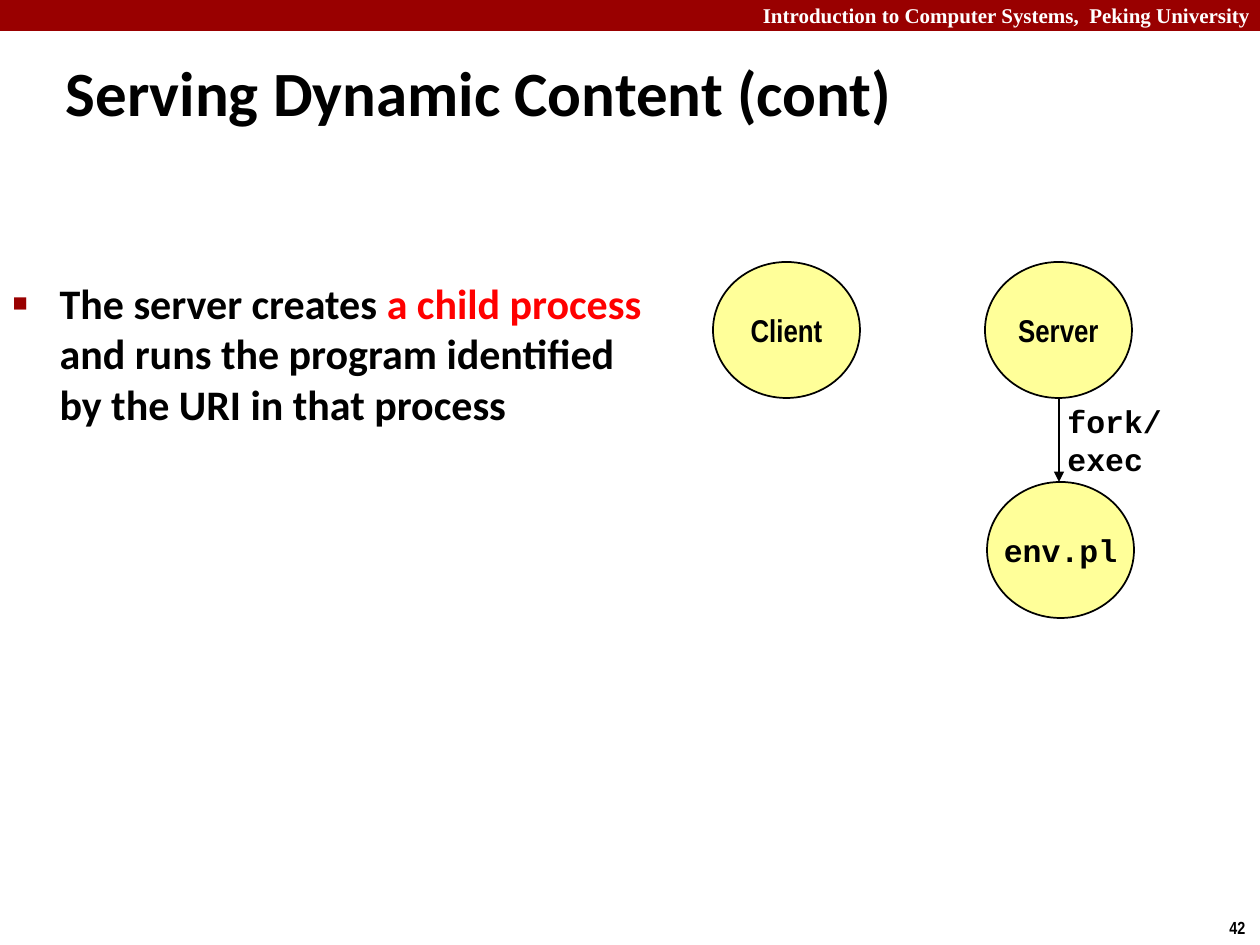
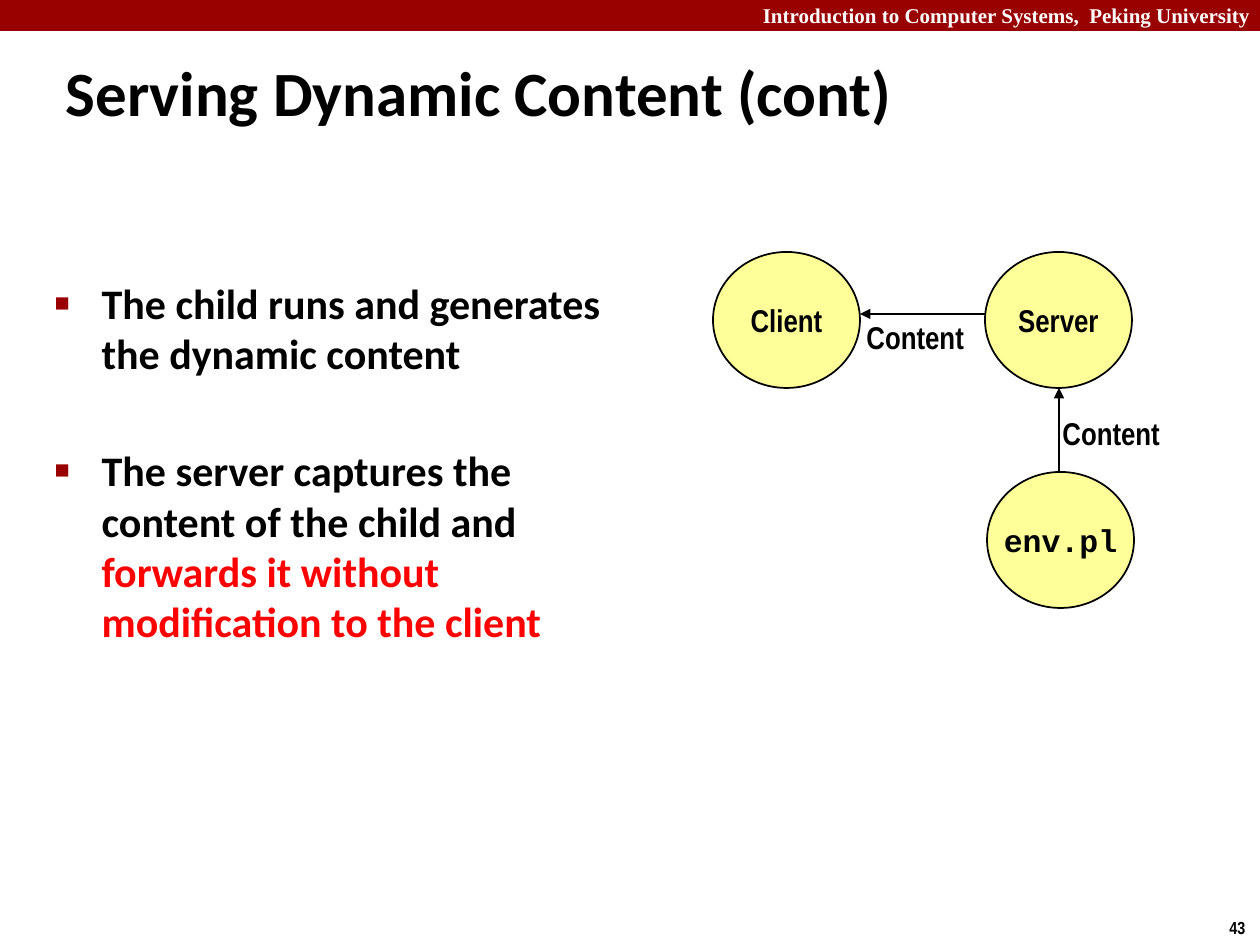
from lxml import etree
from pptx import Presentation
from pptx.dml.color import RGBColor
from pptx.enum.shapes import MSO_CONNECTOR, MSO_SHAPE
from pptx.enum.text import MSO_ANCHOR, MSO_AUTO_SIZE, PP_ALIGN
from pptx.oxml.ns import qn
from pptx.util import Emu, Pt

RECT, ELLIPSE = MSO_SHAPE.RECTANGLE, MSO_SHAPE.OVAL
STRAIGHT = MSO_CONNECTOR.STRAIGHT
LEFT, CENTER, RIGHT = PP_ALIGN.LEFT, PP_ALIGN.CENTER, PP_ALIGN.RIGHT
TOP, MIDDLE = MSO_ANCHOR.TOP, MSO_ANCHOR.MIDDLE
NO_AUTOFIT = MSO_AUTO_SIZE.NONE

COLORS = {"band": "990000", "node": "FFFF99", "ink": "000000",
          "accent": "FF0000", "white": "FFFFFF"}
HEADING, LABEL, CODE, BAND = "Calibri", "Arial Narrow", "Courier New", "Times New Roman"

PX_PER_INCH = 126
SLIDE_W, SLIDE_H = 1260, 945
NODE_W, NODE_H = 147, 136
CLIENT_X, SERVER_X, PROGRAM_X = 713, 985, 987
PROGRAM_DROP = 220
FORK_X = 1059
LIST_INDENT = 47


def px(n):
    return Emu(round(n * 914400 / PX_PER_INCH))


def rgb(name):
    return RGBColor.from_string(COLORS[name])


def format_run(r, font, size, color="ink"):
    r.font.name, r.font.size, r.font.bold = font, Pt(size), True
    r.font.color.rgb = rgb(color)


def place(sp, x, y, w, h):
    sp.left, sp.top, sp.width, sp.height = px(x), px(y), px(w), px(h)


def add_label(s, text, x, y, w, h, font=LABEL, size=18, color="ink",
              align=LEFT, anchor=MIDDLE):
    tf = s.shapes.add_textbox(px(x), px(y), px(w), px(h)).text_frame
    tf.word_wrap = True
    tf.vertical_anchor = anchor
    p = tf.paragraphs[0]
    p.text = text
    p.alignment = align
    for r in p.runs:
        format_run(r, font, size, color)


def add_filled(s, shape, x, y, w, h, color):
    sp = s.shapes.add_shape(shape, px(x), px(y), px(w), px(h))
    sp.shadow.inherit = False
    sp.fill.solid()
    sp.fill.fore_color.rgb = rgb(color)
    return sp


def add_node(s, text, x, y, font=LABEL):
    sp = add_filled(s, ELLIPSE, x, y, NODE_W, NODE_H, "node")
    sp.line.color.rgb = rgb("ink")
    sp.line.width = Pt(1)
    tf = sp.text_frame
    tf.word_wrap = False
    tf.vertical_anchor = MIDDLE
    p = tf.paragraphs[0]
    p.text = text
    p.alignment = CENTER
    format_run(p.runs[0], font, 18)


def add_arrow(s, x1, y1, x2, y2):
    """Draw a line with its arrowhead at (x2, y2)."""
    line = s.shapes.add_connector(STRAIGHT, px(x1), px(y1), px(x2), px(y2))
    line.line.color.rgb = rgb("ink")
    line.line.width = Pt(1)
    ln = line.line._get_or_add_ln()
    etree.SubElement(ln, qn("a:tailEnd"), type="triangle")
    etree.SubElement(line._element.spPr, qn("a:effectLst"))


def add_bullet(p):
    pPr = p._p.get_or_add_pPr()
    pPr.set("marL", str(px(LIST_INDENT)))
    pPr.set("indent", str(px(-LIST_INDENT)))
    color = etree.SubElement(pPr, qn("a:buClr"))
    etree.SubElement(color, qn("a:srgbClr"), val=COLORS["band"])
    etree.SubElement(pPr, qn("a:buSzPct"), val="60000")
    etree.SubElement(pPr, qn("a:buChar"), char="■")


def fill_body(s, items, x, y, w, h):
    """Each item is a list of (text, colour) pieces forming one bullet."""
    sp = s.placeholders[1]
    place(sp, x, y, w, h)
    tf = sp.text_frame
    tf.auto_size = NO_AUTOFIT
    tf.vertical_anchor = TOP
    for i, pieces in enumerate(items):
        p = tf.add_paragraph() if i else tf.paragraphs[0]
        if i:
            p.space_before = Pt(38)
        add_bullet(p)
        for text, color in pieces:
            r = p.add_run()
            r.text = text
            format_run(r, HEADING, 24, color)


def add_base_slide(prs, number):
    """Add a slide with the shared band, title and page number."""
    s = prs.slides.add_slide(prs.slide_layouts[1])
    band = add_filled(s, RECT, 0, 0, SLIDE_W, 31, "band")
    band.line.fill.background()
    add_label(s, "Introduction to Computer Systems,  Peking University ",
              651, -4, 617, 38, BAND, 12, "white", RIGHT, TOP)
    add_label(s, str(number), 1217, 911, 43, 34, size=10, anchor=TOP)
    title = s.shapes.title
    place(title, 53, 47, 1100, 79)
    tf = title.text_frame
    tf.text = "Serving Dynamic Content (cont)"
    tf.auto_size = NO_AUTOFIT
    tf.vertical_anchor = TOP
    p = tf.paragraphs[0]
    p.alignment = LEFT
    format_run(p.runs[0], HEADING, 36)
    return s


def add_processes(s, top):
    add_node(s, "Client", CLIENT_X, top)
    add_node(s, "Server", SERVER_X, top)
    add_node(s, "env.pl", PROGRAM_X, top + PROGRAM_DROP, CODE)


def build_fork_slide(prs):
    s = add_base_slide(prs, 42)
    fill_body(s, [[("The server creates ", "ink"),
                   ("a child process ", "accent"),
                   ("and runs the program identified by the URI in that process", "ink")]],
              0, 271, 672, 261)
    top = 262
    add_processes(s, top)
    add_arrow(s, FORK_X, top + NODE_H, FORK_X, top + PROGRAM_DROP)
    add_label(s, "fork/\vexec", 1055, 415, 195, 50, CODE)


def build_content_slide(prs):
    s = add_base_slide(prs, 43)
    fill_body(s, [[("The child runs and generates the dynamic content", "ink")],
                  [("The server captures the content of the child and ", "ink"),
                   ("forwards it without modification to the client", "accent")]],
              42, 271, 591, 614)
    top = 252
    add_processes(s, top)
    add_arrow(s, FORK_X, top + PROGRAM_DROP, FORK_X, top + NODE_H)
    add_arrow(s, SERVER_X, 314, CLIENT_X + NODE_W, 314)
    for x, y in ((1050, 408), (854, 312)):
        add_label(s, "Content", x, y, 145, 50)


def main():
    prs = Presentation()
    prs.slide_width, prs.slide_height = px(SLIDE_W), px(SLIDE_H)
    build_fork_slide(prs)
    build_content_slide(prs)
    prs.save("out.pptx")


if __name__ == "__main__":
    main()
